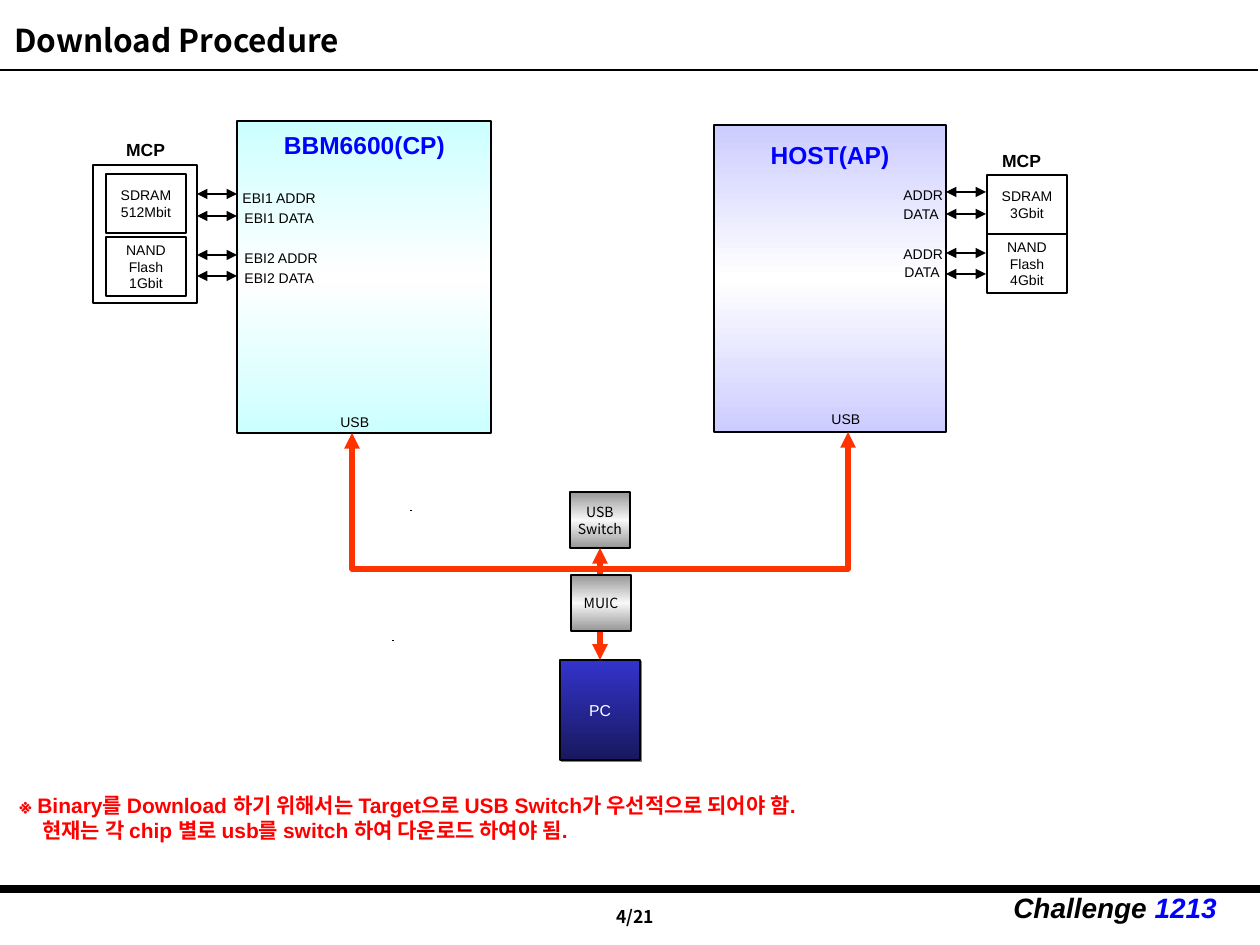
from dataclasses import dataclass

import lxml.etree
import pptx
import pptx.dml.color
import pptx.enum.shapes
import pptx.enum.text
import pptx.oxml.ns
import pptx.util

EMU_PER_PX = 914400 / 126
BLACK, BLUE, RED, ORANGE = "000000", "0000FF", "FF0000", "FF3300"
SANS, KOREAN = "Arial", "Noto Sans CJK KR"
SHAPE = pptx.enum.shapes.MSO_SHAPE.RECTANGLE
STRAIGHT = pptx.enum.shapes.MSO_CONNECTOR.STRAIGHT
ALIGN = pptx.enum.text.PP_ALIGN
ANCHOR = pptx.enum.text.MSO_ANCHOR


@dataclass(frozen=True)
class Area:
    left: int
    top: int
    width: int
    height: int


@dataclass(frozen=True)
class Block:
    area: Area
    text: str = ""
    colors: tuple[str, ...] = ()
    line_width: float = 0.75
    font: str = SANS
    size: int = 8
    text_color: str = BLACK


@dataclass(frozen=True)
class Label:
    text: str
    left: int
    top: int


def px(value: float) -> int:
    return round(value * EMU_PER_PX)


def place(area: Area) -> tuple[int, ...]:
    return px(area.left), px(area.top), px(area.width), px(area.height)


def rgb(value: str) -> pptx.dml.color.RGBColor:
    return pptx.dml.color.RGBColor.from_string(value)


def add_xml(parent, tag: str, **attributes: str):
    element = lxml.etree.SubElement(parent, pptx.oxml.ns.qn(tag))
    for name, value in attributes.items():
        element.set(name, value)
    return element


def write(shape, text: str, *, size: int = 8, font: str = SANS, color: str = BLACK,
          bold: bool = False, italic: bool = False, align=ALIGN.LEFT, anchor=ANCHOR.TOP,
          wrap: bool = True, inset: tuple[float, float] = (12.6, 6.3),
          accent: str = "", hanging: int = 0) -> None:
    frame = shape.text_frame
    frame.word_wrap = wrap
    frame.vertical_anchor = anchor
    frame.margin_left = frame.margin_right = px(inset[0])
    frame.margin_top = frame.margin_bottom = px(inset[1])
    for index, line in enumerate(text.split("\n")):
        para = frame.add_paragraph() if index else frame.paragraphs[0]
        para.alignment = align
        if index and hanging:
            para._p.get_or_add_pPr().set("marL", str(px(hanging)))
        for content, span_color in ((line, color), (accent, BLUE)):
            if not content:
                continue
            span = para.add_run()
            span.text = content
            span.font.size = pptx.util.Pt(size)
            span.font.bold = bold
            span.font.italic = italic
            span.font.color.rgb = rgb(span_color)
            span.font.name = font
            add_xml(span.font._element, "a:ea", typeface=KOREAN)


def add_label(slide, area: Area, text: str, **style) -> None:
    write(slide.shapes.add_textbox(*place(area)), text, **style)


def add_block(slide, block: Block):
    box = slide.shapes.add_shape(SHAPE, *place(block.area))
    if block.colors:
        gradient = add_xml(box._element.spPr, "a:gradFill", rotWithShape="1")
        stops = add_xml(gradient, "a:gsLst")
        for index, color in enumerate(block.colors):
            position = index * 100000 // (len(block.colors) - 1)
            stop = add_xml(stops, "a:gs", pos=str(position))
            add_xml(stop, "a:srgbClr", val=color)
        add_xml(gradient, "a:lin", ang="5400000", scaled="0")
    else:
        box.fill.background()
    box.line.color.rgb = rgb(BLACK)
    box.line.width = pptx.util.Pt(block.line_width)
    box.shadow.inherit = False
    if block.text:
        write(box, block.text, size=block.size, font=block.font, color=block.text_color,
              align=ALIGN.CENTER, anchor=ANCHOR.MIDDLE, wrap=False)
    return box


def style_line(shape, color: str, width: float, arrows: bool) -> None:
    shape.line.color.rgb = rgb(color)
    shape.line.width = pptx.util.Pt(width)
    if arrows:
        outline = shape.line._get_or_add_ln()
        add_xml(outline, "a:headEnd", type="triangle")
        add_xml(outline, "a:tailEnd", type="triangle")


def add_line(slide, start: tuple[int, int], end: tuple[int, int], *,
             color: str = BLACK, width: float = 0.75, arrows: bool = False):
    line = slide.shapes.add_connector(STRAIGHT, *map(px, start + end))
    style_line(line, color, width, arrows)
    add_xml(line._element.spPr, "a:effectLst")
    return line


def add_usb_bus(slide, points: list[tuple[int, int]]) -> None:
    builder = slide.shapes.build_freeform(*points[0], scale=EMU_PER_PX)
    builder.add_line_segments(points[1:], close=False)
    bus = builder.convert_to_shape()
    bus.fill.background()
    bus.shadow.inherit = False
    style_line(bus, ORANGE, 3, True)


def add_soft_edge_shadow(box) -> None:
    shadow = add_xml(box._element.spPr.find(pptx.oxml.ns.qn("a:effectLst")), "a:outerShdw",
                     dist="17780", dir="2700000", algn="ctr", rotWithShape="0")
    add_xml(shadow, "a:srgbClr", val="808080")


CYAN_FADE = ("CCFFFF", "FFFFFF", "CCFFFF")
VIOLET_FADE = ("CCCCFF", "FFFFFF", "CCCCFF")
STEEL = ("969696", "F8F8F8", "969696")

PROCESSORS = [
    Block(Area(237, 121, 254, 312), colors=CYAN_FADE),
    Block(Area(714, 125, 232, 307), colors=VIOLET_FADE),
]
MEMORIES = [
    Block(Area(93, 165, 104, 138), line_width=1.5),
    Block(Area(106, 174, 80, 59), "SDRAM\n512Mbit", line_width=1.5),
    Block(Area(106, 237, 80, 59), "NAND\nFlash\n1Gbit", line_width=1.5),
    Block(Area(987, 175, 80, 59), "SDRAM\n3Gbit", line_width=1.5),
    Block(Area(987, 234, 80, 59), "NAND\nFlash\n4Gbit", line_width=1.5),
]
PINS = [
    Label("EBI1 ADDR", 230, 183), Label("EBI1 DATA", 232, 203),
    Label("EBI2 ADDR", 232, 243), Label("EBI2 DATA", 232, 263),
    Label("ADDR", 891, 180), Label("DATA", 891, 199),
    Label("ADDR", 891, 239), Label("DATA", 892, 257),
    Label("USB", 328, 407), Label("USB", 819, 404),
]
CHIP_NAMES = [(Area(258, 125, 213, 39), "BBM6600(CP)"), (Area(738, 135, 184, 39), "HOST(AP)")]
BUSES = [(197, 237, (194, 216, 255, 276)), (946, 986, (192, 214, 253, 274))]


def main() -> None:
    deck = pptx.Presentation()
    deck.slide_width, deck.slide_height = px(1260), px(945)
    slide = deck.slides.add_slide(deck.slide_layouts[6])

    add_label(slide, Area(2, 15, 420, 50), "Download Procedure", size=18, font=KOREAN, bold=True)
    add_line(slide, (0, 70), (1258, 70), width=1.5)
    add_line(slide, (0, 889), (1260, 889), width=4.5)
    add_label(slide, Area(372, 900, 294, 40), "4/21", size=10, font=KOREAN, bold=True,
              align=ALIGN.RIGHT)
    add_label(slide, Area(1001, 884, 250, 47), "Challenge ", size=16, bold=True, italic=True,
              accent="1213")

    for block in PROCESSORS + MEMORIES:
        add_block(slide, block)
    for area, name in CHIP_NAMES:
        add_label(slide, area, name, size=14, color=BLUE, bold=True,
                  align=ALIGN.CENTER, inset=(10, 5))
    for left, top in ((111, 134), (987, 145)):
        add_label(slide, Area(left, top, 69, 32), "MCP", size=10, bold=True,
                  align=ALIGN.CENTER, inset=(10, 5))
    for pin in PINS:
        add_label(slide, Area(pin.left, pin.top, 110, 30), pin.text)
    for left, right, rows in BUSES:
        for row in rows:
            add_line(slide, (left, row), (right, row), arrows=True)
    for left, top in ((411, 510), (393, 640)):
        add_line(slide, (left, top), (left, top + 1))

    add_usb_bus(slide, [(848, 432), (848, 569), (352, 569), (352, 433)])
    switch = add_block(slide, Block(Area(570, 492, 60, 56), "USB\nSwitch", STEEL, font=KOREAN))
    computer = add_block(slide, Block(Area(560, 660, 80, 100), "PC", ("3333CC", "18185E"),
                                      size=9, text_color="FFFFFF"))
    add_soft_edge_shadow(computer)
    link = add_line(slide, (600, 660), (600, 548), color=ORANGE, width=3, arrows=True)
    link.begin_connect(computer, 0)
    link.end_connect(switch, 2)
    add_block(slide, Block(Area(571, 575, 60, 56), "MUIC", STEEL, font=KOREAN))

    add_label(slide, Area(7, 786, 950, 63),
              "※ Binary를 Download 하기 위해서는 Target으로 USB Switch가 우선적으로 되어야 함.\n"
              "현재는 각 chip 별로 usb를 switch 하여 다운로드 하여야 됨.",
              size=12, color=RED, bold=True, hanging=23)
    deck.save("out.pptx")


if __name__ == "__main__":
    main()
